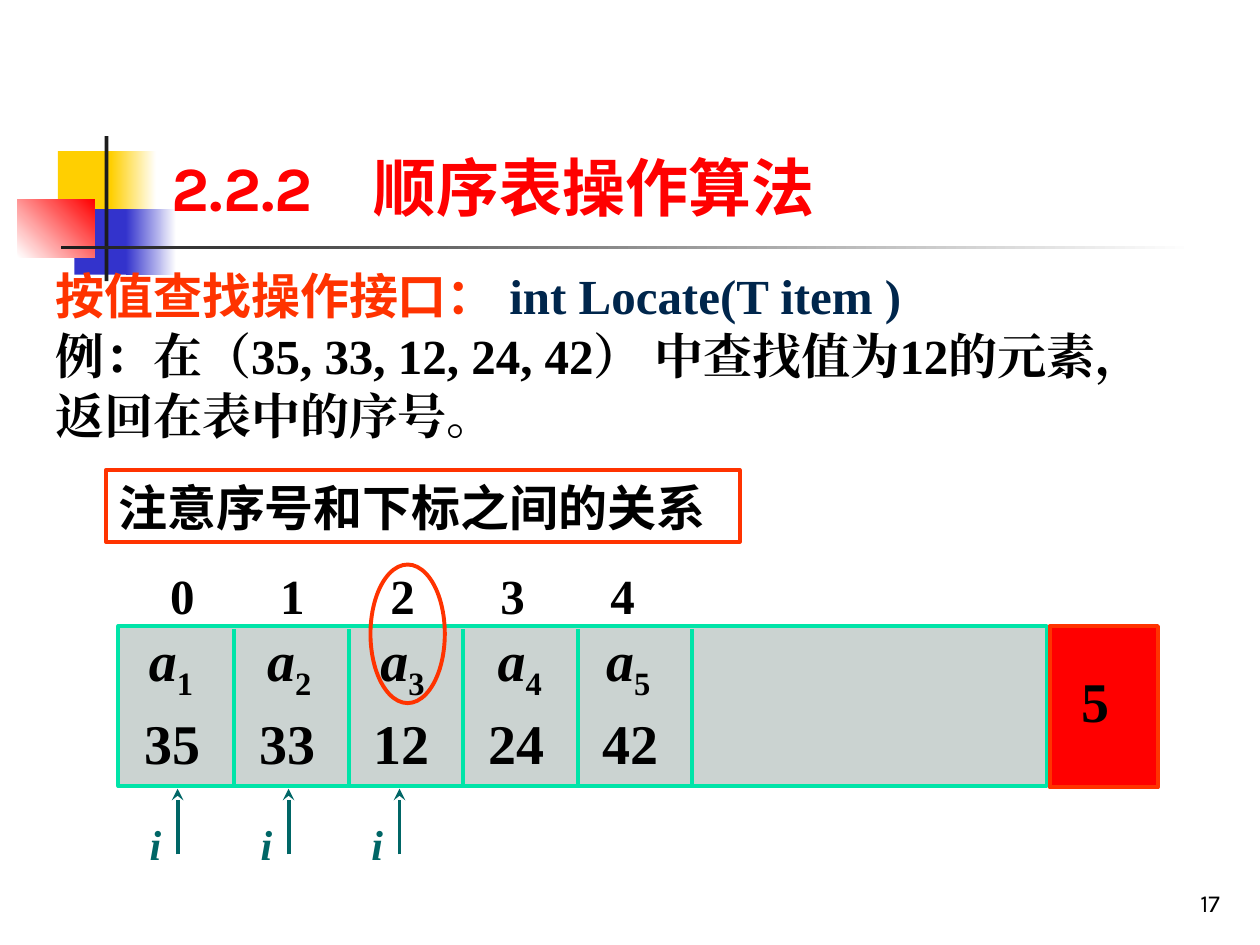
import pptx
import pptx.util
import pptx.dml.color
import pptx.enum.shapes
import pptx.enum.text
from dataclasses import dataclass
from lxml import etree
from pptx.oxml.ns import qn

Pt = pptx.util.Pt
Shape = pptx.enum.shapes.MSO_SHAPE
Anchor = pptx.enum.text.MSO_ANCHOR
Align = pptx.enum.text.PP_ALIGN


@dataclass(frozen=True)
class Theme:
    black: str = "000000"
    white: str = "FFFFFF"
    dark: str = "1C1C1C"
    red: str = "FF0000"
    orange: str = "FF3300"
    gold: str = "FFCF01"
    blue: str = "3333CC"
    navy: str = "00264C"
    teal: str = "006666"
    mint: str = "00E4A8"
    gray: str = "CBD3D1"
    head: str = "Karla"
    sans: str = "Arial"
    serif: str = "Times New Roman"
    title: float = 36
    value: float = 32
    body: float = 28
    mark: float = 24
    page: float = 14
    line: float = 2.25
    lead: float = 1.22


T = Theme()
STEP = 65.4
VALUES = (35, 33, 12, 24, 42)


def rgb(code):
    return pptx.dml.color.RGBColor.from_string(code)


def apply(item, values):
    for name, value in values.items():
        setattr(item, name, value)


def setup(shape, insets=(7.2, 3.6, 7.2, 3.6), anchor=Anchor.TOP):
    """Set the frame of a shape and return its text frame."""
    frame = shape.text_frame
    sides = ("margin_left", "margin_top", "margin_right", "margin_bottom")
    apply(frame, dict(zip(sides, map(Pt, insets))))
    apply(frame, {"word_wrap": True, "vertical_anchor": anchor,
                  "auto_size": pptx.enum.text.MSO_AUTO_SIZE.NONE})
    return frame


def run(para, text, size, color=T.black, face=T.serif, base=0, **look):
    part = para.add_run()
    part.text = text
    apply(part.font, {"size": Pt(size), "name": face, "bold": True, **look})
    part.font.color.rgb = rgb(color)
    props = part.font._element
    etree.SubElement(props, qn("a:ea")).set("typeface", face)
    if base:
        props.set("baseline", str(base * 1000))


def space(para, size, lead=T.lead, align=Align.LEFT):
    apply(para, {"alignment": align, "space_before": Pt(0),
                 "line_spacing": Pt(round(size * lead, 1))})


def tabs(para, stops):
    group = etree.SubElement(para._p.get_or_add_pPr(), qn("a:tabLst"))
    for stop in stops:
        etree.SubElement(group, qn("a:tab"), pos=str(Pt(stop)), algn="l")


def label(slide, box, insets=(0, 3.6, 0, 3.6), anchor=Anchor.TOP):
    """Add a text box and return its first paragraph."""
    shape = slide.shapes.add_textbox(*map(Pt, box))
    return setup(shape, insets, anchor).paragraphs[0]


def block(slide, box, fill=None, edge=None, fade=None, angle=0, kind=Shape.RECTANGLE):
    """Add a shape with a plain fill, a fade of two colours, or no fill."""
    shape = slide.shapes.add_shape(kind, *map(Pt, box))
    shape.shadow.inherit = False
    if fade:
        shape.fill.gradient()
        shape.fill.gradient_angle = angle
        for stop, color in zip(shape.fill.gradient_stops, fade):
            stop.color.rgb = rgb(color)
    elif fill:
        shape.fill.solid()
        shape.fill.fore_color.rgb = rgb(fill)
    else:
        shape.fill.background()
    if edge:
        shape.line.color.rgb = rgb(edge)
        shape.line.width = Pt(T.line)
    else:
        shape.line.fill.background()
    return shape


def rule(slide, start, end, color, arrow=False):
    line = slide.shapes.add_connector(
        pptx.enum.shapes.MSO_CONNECTOR.STRAIGHT, *map(Pt, start + end))
    line.line.color.rgb = rgb(color)
    line.line.width = Pt(T.line)
    if arrow:
        etree.SubElement(line.line._get_or_add_ln(), qn("a:tailEnd"), type="stealth")
    etree.SubElement(line._element.spPr, qn("a:effectLst"))


def decor(slide):
    block(slide, (33.1, 86.4, 34.6, 37.4), T.gold)
    block(slide, (63.4, 86.4, 25.9, 37.4), fade=(T.gold, T.white))
    block(slide, (42.5, 119.5, 33.1, 37.4), T.blue)
    block(slide, (72, 119.5, 28.8, 37.4), fade=(T.blue, T.white))
    block(slide, (10.1, 113.8, 43.9, 33.1), fade=(T.white, T.red), angle=45)
    block(slide, (59.8, 77.8, 2.2, 82.8), T.dark)
    block(slide, (34.6, 140.4, 648, 2.2), fade=(T.dark, T.white))


def place(slide, shape, box):
    """Move a placeholder to its box, in front of the shapes so far."""
    apply(shape, dict(zip(("left", "top", "width", "height"), map(Pt, box))))
    slide.shapes._spTree.append(shape._element)


def heading(slide):
    title = slide.shapes.title
    place(slide, title, (90.7, 16.6, 613.4, 115.2))
    para = setup(title, anchor=Anchor.BOTTOM).paragraphs[0]
    para.alignment = Align.LEFT
    tabs(para, [115.5])
    run(para, "2.2.2\t顺序表操作算法", T.title, T.red, T.head)


def intro(slide):
    body = slide.placeholders[1]
    place(slide, body, (24.5, 147.6, 660.2, 109.4))
    frame = setup(body)
    paras = frame.paragraphs[0], frame.add_paragraph()
    for para in paras:
        space(para, T.body)
        props = para._p.get_or_add_pPr()
        apply_none = {"marL": "0", "indent": "0"}
        for name, value in apply_none.items():
            props.set(name, value)
        etree.SubElement(props, qn("a:buNone"))
    run(paras[0], "按值查找操作接口： ", T.body, T.orange, T.sans)
    run(paras[0], "int Locate(T item )", T.body, T.navy)
    run(paras[1], "例：在（35, 33, 12, 24, 42） 中查找值为12的元素，返回在表中的序号。", T.body)


def cells(slide):
    block(slide, (67.7, 357.8, 530.6, 91.4), T.gray, T.mint)
    size = block(slide, (599.8, 357.8, 61.9, 92.2), T.red, T.orange)
    para = setup(size, (18, 22.3, 7.2, 8.6)).paragraphs[0]
    space(para, T.value)
    run(para, "5", T.value)

    para = label(slide, (97.2, 319, 468.7, 41))
    space(para, T.body)
    tabs(para, [62.9 * k for k in range(1, len(VALUES))])
    run(para, "\t".join(map(str, range(len(VALUES)))), T.body)

    lefts = (85, 152.6, 217.4, 284.4, 346.3)
    for k, (value, left) in enumerate(zip(VALUES, lefts)):
        edge = 133.9 + STEP * k
        rule(slide, (edge, 359.3), (edge, 449.5), T.mint)
        para = label(slide, (82.8 + STEP * k, 401, 38, 46))
        space(para, T.value)
        run(para, str(value), T.value)
        para = label(slide, (left, 352.8, 38, 51))
        space(para, T.value, 1.4)
        run(para, "a", T.value, italic=True)
        run(para, str(k + 1), T.value, base=-25)


def marks(slide):
    """Add the pointers i that visit the first three cells."""
    for k in range(3):
        x = 101.5 + 63.4 * k
        rule(slide, (x, 488.2), (x, 450.7), T.teal, arrow=True)
        para = label(slide, (x - 16, 467, 16, 29), (0, 0, 0, 0))
        space(para, T.mark)
        run(para, "i", T.mark, T.teal, italic=True)


def notice(slide):
    block(slide, (211.7, 322.6, 42.5, 79.2), edge=T.orange, kind=Shape.OVAL)
    box = block(slide, (60.5, 268.6, 362.2, 41), edge=T.orange)
    para = setup(box).paragraphs[0]
    space(para, T.body)
    run(para, "注意序号和下标之间的关系", T.body, face=T.sans)


def main():
    deck = pptx.Presentation()
    apply(deck, {"slide_width": Pt(720), "slide_height": Pt(540)})
    slide = deck.slides.add_slide(deck.slide_layouts[1])
    decor(slide)
    para = label(slide, (554.4, 491.8, 149.8, 36), (7.2, 3.6, 7.2, 3.6), Anchor.BOTTOM)
    para.alignment = Align.RIGHT
    run(para, "17", T.page, face=T.head, bold=False)
    for part in (intro, cells, marks, notice, heading):
        part(slide)
    deck.save("out.pptx")


if __name__ == "__main__":
    main()
